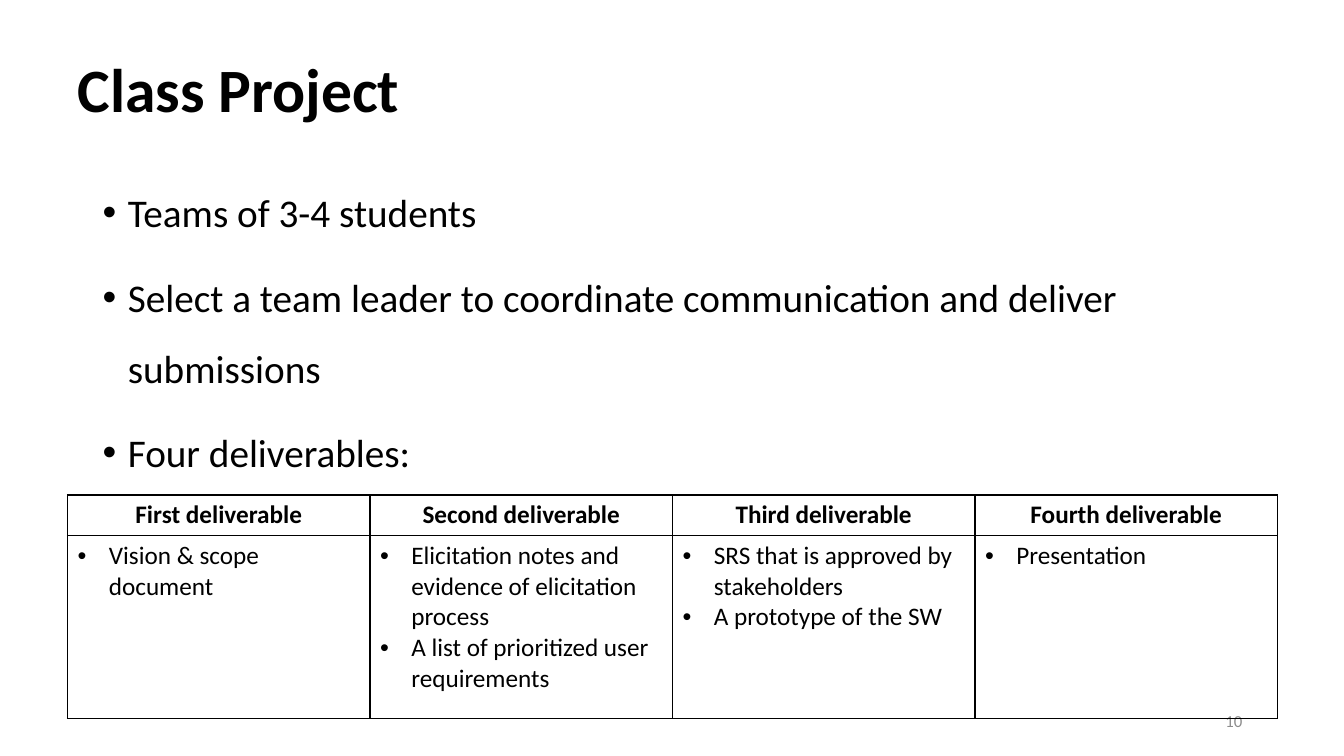
from lxml import etree
from pptx import Presentation
from pptx import util as u
from pptx.dml.color import RGBColor
from pptx.enum import text
from pptx.oxml import ns

TITLE = "Class Project"
POINTS = [
    "Teams of 3-4 students",
    "Select a team leader to coordinate communication and deliver submissions",
    "Four deliverables:",
]
DELIVERABLES = {
    "First deliverable": ["Vision & scope document"],
    "Second deliverable": [
        "Elicitation notes and evidence of elicitation process",
        "A list of prioritized user requirements",
    ],
    "Third deliverable": ["SRS that is approved by stakeholders", "A prototype of the SW"],
    "Fourth deliverable": ["Presentation"],
}
PAGE_NUMBER = "10"

FONT = "Calibri"
BLACK = RGBColor(0x00, 0x00, 0x00)
GRAY = RGBColor(0x8C, 0x8C, 0x8C)
LEFT, WIDTH = 0.67, 12
ROW_HEIGHTS = [0.4, 1.82]


def write(text_frame, lines, size, color=BLACK, bold=False, align=None, indent=0,
          line_spacing=None, space_before=0):
    """Fill a frame with one paragraph per line, bulleted when indent is given."""
    text_frame.text = "\n".join(lines)
    for index, paragraph in enumerate(text_frame.paragraphs):
        if indent:
            properties = paragraph._p.get_or_add_pPr()
            properties.set("marL", str(u.Inches(indent)))
            properties.set("indent", str(-u.Inches(indent)))
            etree.SubElement(properties, ns.qn("a:buFont"), typeface="Arial")
            etree.SubElement(properties, ns.qn("a:buChar"), char="•")
        if align is not None:
            paragraph.alignment = align
        if line_spacing:
            paragraph.line_spacing = line_spacing
        paragraph.space_before = u.Pt(space_before if index else 0)
        for run in paragraph.runs:
            run.font.name = FONT
            run.font.size = u.Pt(size)
            run.font.bold = bold
            run.font.color.rgb = color


def add_text(slide, box, lines, size, anchor=text.MSO_ANCHOR.TOP, **style):
    text_frame = slide.shapes.add_textbox(*map(u.Inches, box)).text_frame
    text_frame.word_wrap = True
    text_frame.vertical_anchor = anchor
    write(text_frame, lines, size, **style)


def outline(cell):
    """Draw a thin black border on every side of an unfilled cell."""
    properties = cell._tc.get_or_add_tcPr()
    for side in ("lnL", "lnR", "lnT", "lnB"):
        line = etree.SubElement(properties, ns.qn(f"a:{side}"), w=str(u.Pt(1)))
        fill = etree.SubElement(line, ns.qn("a:solidFill"))
        etree.SubElement(fill, ns.qn("a:srgbClr"), val=str(BLACK))
    cell.fill.background()


def add_deliverables(slide):
    frame = slide.shapes.add_table(
        len(ROW_HEIGHTS), len(DELIVERABLES), u.Inches(LEFT), u.Inches(4.91),
        u.Inches(WIDTH), u.Inches(sum(ROW_HEIGHTS)))
    table = frame.table
    table.first_row = table.horz_banding = False
    for row, height in zip(table.rows, ROW_HEIGHTS):
        row.height = u.Inches(height)
    for column, (heading, items) in enumerate(DELIVERABLES.items()):
        header, body = table.cell(0, column), table.cell(1, column)
        write(header.text_frame, [heading], 18, bold=True, align=text.PP_ALIGN.CENTER)
        write(body.text_frame, items, 18, indent=0.31)
        outline(header)
        outline(body)


def main():
    presentation = Presentation()
    presentation.slide_width = u.Inches(13.33)
    presentation.slide_height = u.Inches(7.5)
    slide = presentation.slides.add_slide(presentation.slide_layouts[6])
    middle = text.MSO_ANCHOR.MIDDLE
    add_text(slide, (LEFT, 0.29, WIDTH, 1.25), [TITLE], 44, middle, bold=True,
             line_spacing=0.9)
    add_text(slide, (0.92, 1.59, 11.5, 4.95), POINTS, 28, indent=0.25,
             line_spacing=1.5, space_before=10)
    add_text(slide, (9.42, 6.95, 3, 0.4), [PAGE_NUMBER], 12, middle, color=GRAY,
             align=text.PP_ALIGN.RIGHT)
    add_deliverables(slide)
    presentation.save("out.pptx")


if __name__ == "__main__":
    main()
